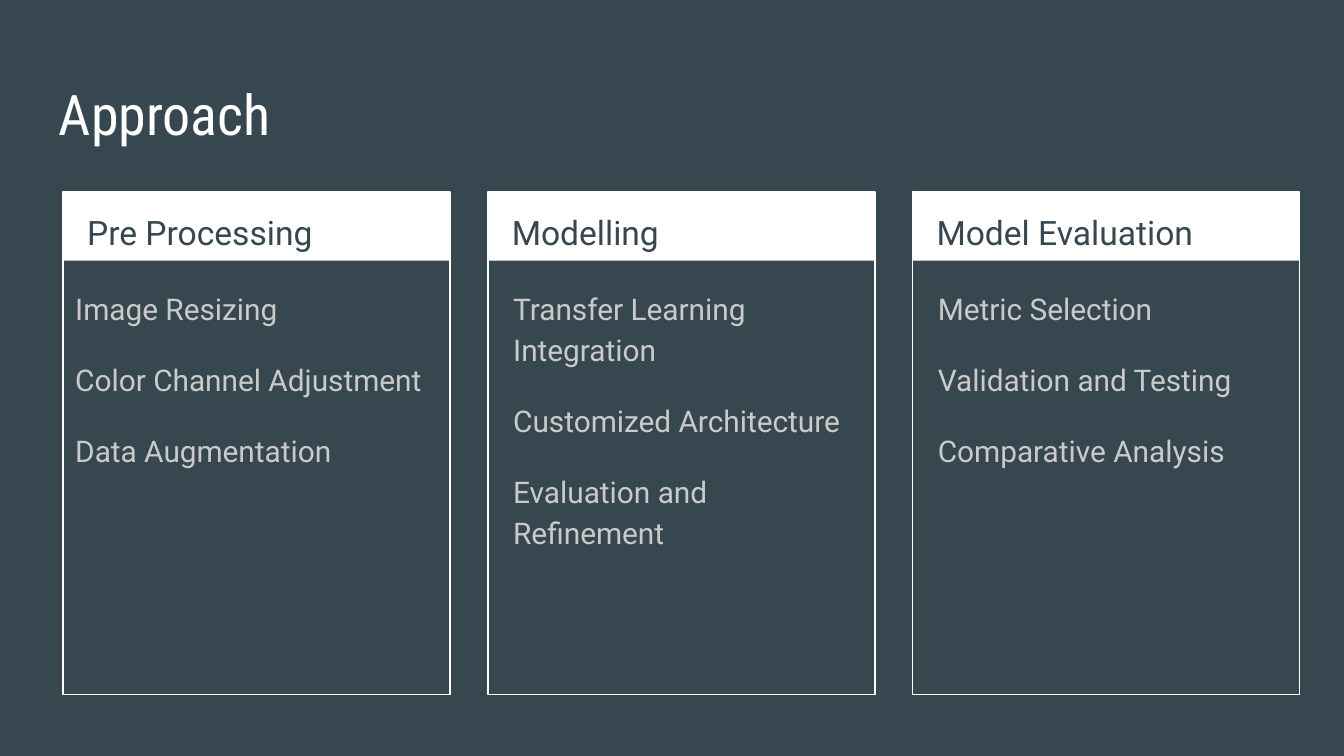
import dataclasses

import pptx
import pptx.dml.color
import pptx.enum.shapes
import pptx.enum.text
import pptx.util

Inches = pptx.util.Inches
Pt = pptx.util.Pt


@dataclasses.dataclass(frozen=True)
class Theme:
    background: str = "37474F"
    white: str = "FFFFFF"
    body_color: str = "CACACA"
    title_font: str = "Roboto Condensed"
    body_font: str = "Roboto"
    title_size: int = 30
    heading_size: int = 18
    body_size: int = 16
    line_width: float = 0.75
    line_spacing: float = 1.15
    inset: float = 0.1


def rgb(value):
    return pptx.dml.color.RGBColor.from_string(value)


class SlideBuilder:
    def __init__(self, slide, theme):
        self.slide = slide
        self.theme = theme
        slide.background.fill.solid()
        slide.background.fill.fore_color.rgb = rgb(theme.background)

    def rectangle(self, shapes, left, top, width, height, fill=None, line=None):
        shape = shapes.add_shape(
            pptx.enum.shapes.MSO_SHAPE.RECTANGLE,
            Inches(left), Inches(top), Inches(width), Inches(height))
        shape.shadow.inherit = False
        if fill:
            shape.fill.solid()
            shape.fill.fore_color.rgb = rgb(fill)
        else:
            shape.fill.background()
        if line:
            shape.line.color.rgb = rgb(line)
            shape.line.width = Pt(self.theme.line_width)
        else:
            shape.line.fill.background()

    def text(self, texts, left, top, width, height, size, color, font,
             line_spacing=None, gap=0, left_inset=None):
        box = self.slide.shapes.add_textbox(
            Inches(left), Inches(top), Inches(width), Inches(height))
        frame = box.text_frame
        frame.word_wrap = True
        frame.vertical_anchor = pptx.enum.text.MSO_ANCHOR.TOP
        inset = self.theme.inset
        frame.margin_left = Inches(inset if left_inset is None else left_inset)
        frame.margin_right = frame.margin_top = frame.margin_bottom = Inches(inset)
        for index, text in enumerate(texts):
            paragraph = frame.add_paragraph() if index else frame.paragraphs[0]
            if line_spacing:
                paragraph.line_spacing = line_spacing
            if index:
                paragraph.space_before = Pt(gap)
            run = paragraph.add_run()
            run.text = text
            run.font.size = Pt(size)
            run.font.name = font
            run.font.color.rgb = rgb(color)

    def card(self, left, heading, items, body_inset):
        theme = self.theme
        top, width = 1.43, 2.88
        # Heading band and frame
        group = self.slide.shapes.add_group_shape()
        self.rectangle(group.shapes, left, top, width, 0.51, fill=theme.white)
        self.rectangle(group.shapes, left, top, width, 3.74, line=theme.white)
        # Heading and items
        self.text([heading], left + 0.08, top, 2.73, 0.5, theme.heading_size,
                  theme.background, theme.body_font, theme.line_spacing)
        self.text(items, left + 0.09, 2.02, 2.71, 3.06, theme.body_size,
                  theme.body_color, theme.body_font, theme.line_spacing,
                  gap=theme.body_size, left_inset=body_inset)


CARDS = [
    ("Pre Processing",
     ["Image Resizing", "Color Channel Adjustment", "Data Augmentation"], 0),
    ("Modelling",
     ["Transfer Learning Integration", "Customized Architecture",
      "Evaluation and Refinement"], 0.1),
    ("Model Evaluation",
     ["Metric Selection", "Validation and Testing", "Comparative Analysis"], 0.1),
]


def main():
    # Widescreen slide, 16:9
    presentation = pptx.Presentation()
    presentation.slide_width = Inches(10)
    presentation.slide_height = Inches(10 * 9 / 16)
    theme = Theme()
    builder = SlideBuilder(
        presentation.slides.add_slide(presentation.slide_layouts[6]), theme)

    # Title
    builder.text(["Approach"], 0.34, 0.49, 9.32, 0.63,
                 theme.title_size, theme.white, theme.title_font)

    # Three evenly spaced cards
    for index, (heading, items, body_inset) in enumerate(CARDS):
        builder.card(0.47 + index * 3.16, heading, items, body_inset)

    presentation.save("out.pptx")


if __name__ == "__main__":
    main()
